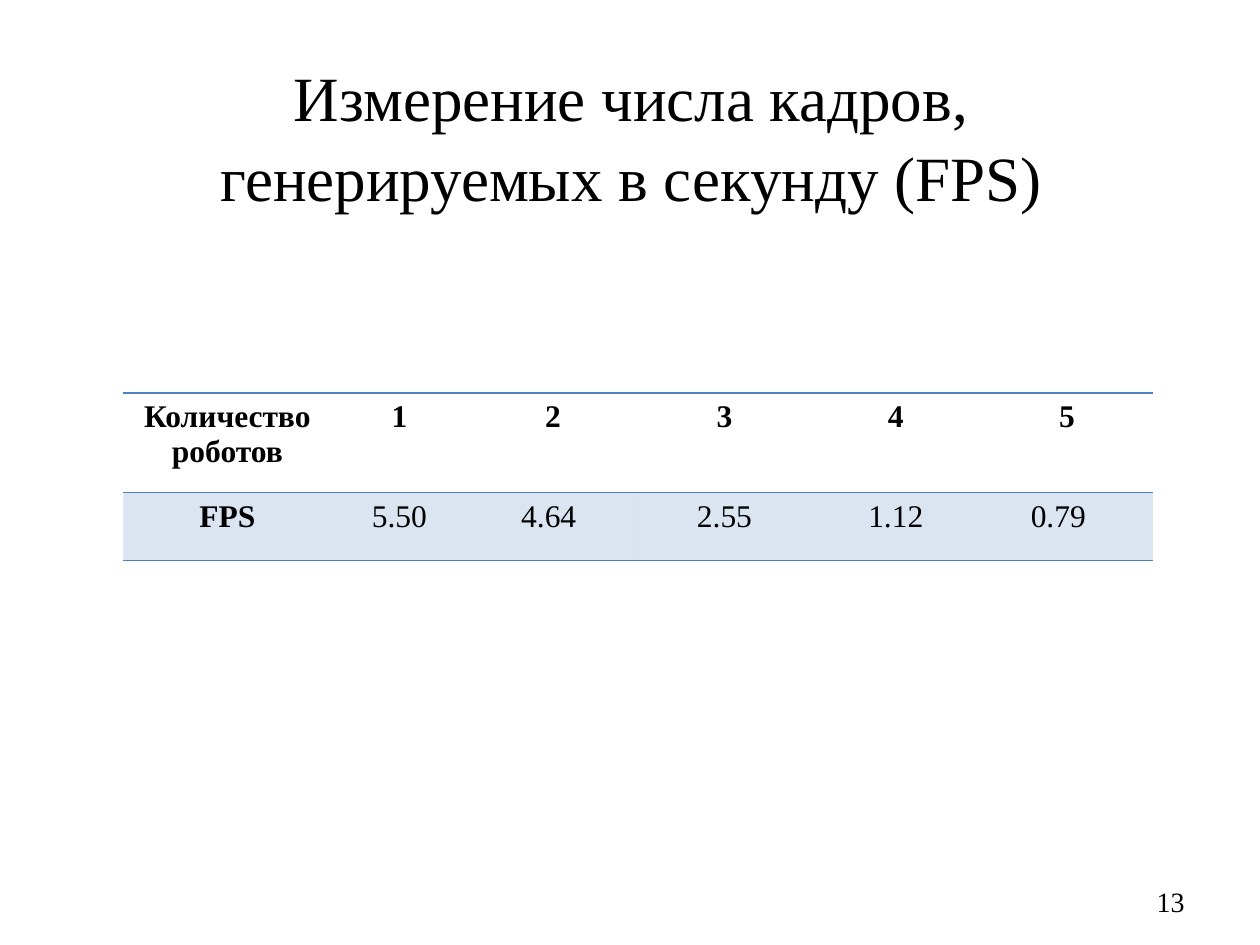
import pptx
import pptx.util
import pptx.dml.color
import pptx.enum.text
import pptx.oxml.ns
import lxml.etree
from pptx.util import Inches

BLACK = pptx.dml.color.RGBColor(0x00, 0x00, 0x00)
BLUE = pptx.dml.color.RGBColor(0x4F, 0x81, 0xBD)
FONT = "Times New Roman"
NO_STYLE = "{2D5ABB26-0587-4C30-8999-92F81FD0307C}"
ALIGN = pptx.enum.text.PP_ALIGN
ANCHOR = pptx.enum.text.MSO_ANCHOR
qn = pptx.oxml.ns.qn


def write_text(text_frame, text, size, alignment, bold=False):
    text_frame.text = text
    for paragraph in text_frame.paragraphs:
        paragraph.alignment = alignment
        for run in paragraph.runs:
            run.font.name = FONT
            run.font.size = pptx.util.Pt(size)
            run.font.bold = bold
            run.font.color.rgb = BLACK


def add_border(cell, side):
    """Draw a 1 pt blue line; side is lnT or lnB."""
    line = lxml.etree.SubElement(cell._tc.get_or_add_tcPr(), qn(f"a:{side}"), w="12700")
    fill = lxml.etree.SubElement(line, qn("a:solidFill"))
    lxml.etree.SubElement(fill, qn("a:srgbClr"), val=str(BLUE))


presentation = pptx.Presentation()
presentation.slide_width = Inches(10)
presentation.slide_height = Inches(7.5)
slide = presentation.slides.add_slide(presentation.slide_layouts[6])

title = slide.shapes.add_textbox(Inches(0.51), Inches(0.44), Inches(9), Inches(1.25))
title.text_frame.word_wrap = True
title.text_frame.vertical_anchor = ANCHOR.MIDDLE
write_text(title.text_frame, "Измерение числа кадров,\vгенерируемых в секунду (FPS)", 36, ALIGN.CENTER)
title.text_frame.paragraphs[0].line_spacing = 1.05

number = slide.shapes.add_textbox(Inches(7.17), Inches(6.95), Inches(2.33), Inches(0.4))
number.text_frame.word_wrap = True
number.text_frame.vertical_anchor = ANCHOR.MIDDLE
write_text(number.text_frame, "13", 16, ALIGN.RIGHT)

rows = [
    ["Количество роботов", "1", "2", "3", "4", "5"],
    ["FPS", "5.50", "4.64", "2.55", "1.12", "0.79"],
]
column_widths = [1.65, 1.08] + [1.36] * 4
row_heights = [0.79, 0.54]

frame = slide.shapes.add_table(
    len(rows), len(column_widths), Inches(0.98), Inches(3.12),
    Inches(sum(column_widths)), Inches(sum(row_heights)))
table = frame.table
table.first_row = False
table.horz_banding = False
table._tbl.tblPr.find(qn("a:tableStyleId")).text = NO_STYLE
for column, width in zip(table.columns, column_widths):
    column.width = Inches(width)
for row, height in zip(table.rows, row_heights):
    row.height = Inches(height)

for row_index, values in enumerate(rows):
    is_header = row_index == 0
    for column_index, value in enumerate(values):
        cell = table.cell(row_index, column_index)
        write_text(cell.text_frame, value, 18, ALIGN.CENTER, is_header or column_index == 0)
        add_border(cell, "lnT")
        add_border(cell, "lnB")
        if is_header:
            cell.fill.background()
        else:
            cell.fill.solid()
            cell.fill.fore_color.rgb = BLUE
            color = cell._tc.tcPr.find(qn("a:solidFill")).find(qn("a:srgbClr"))
            lxml.etree.SubElement(color, qn("a:alpha"), val="20000")

# These two values sit slightly left of the column centre.
table.cell(1, 2).margin_right = Inches(0.17)
table.cell(1, 5).margin_right = Inches(0.24)

presentation.save("out.pptx")
